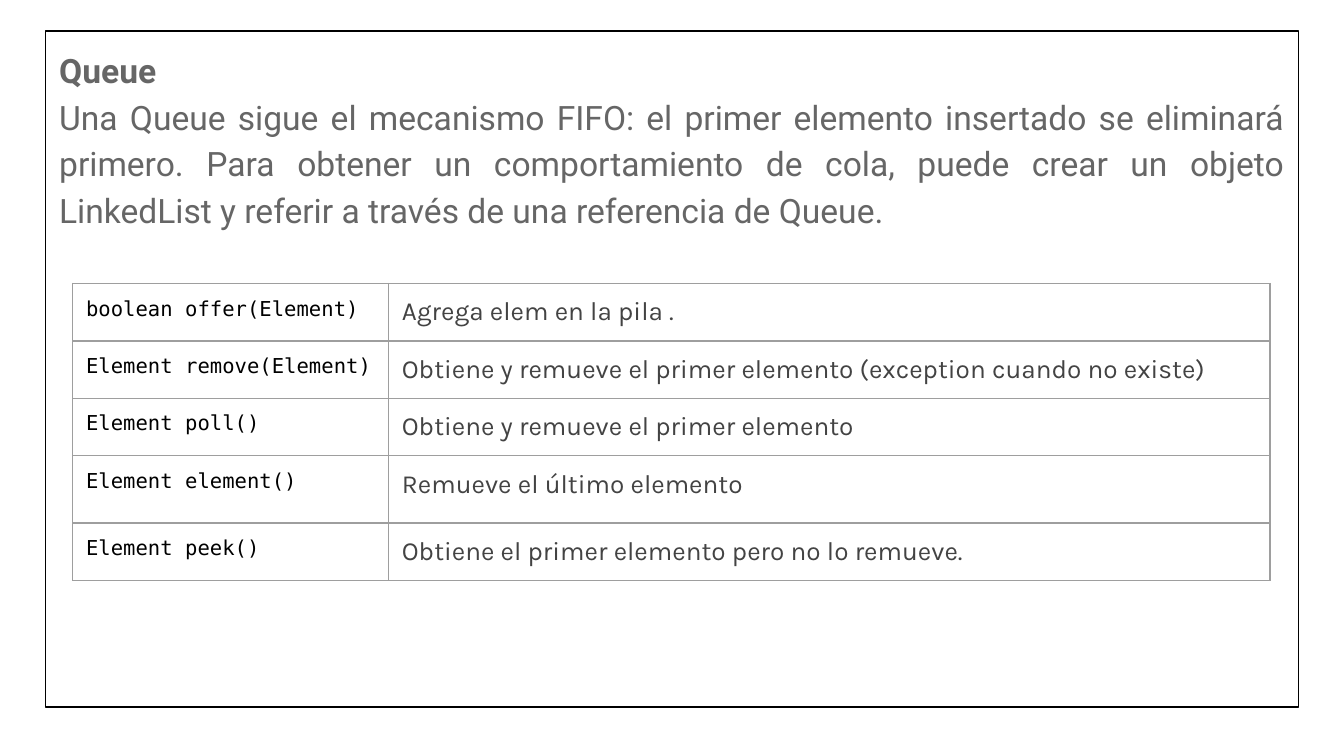
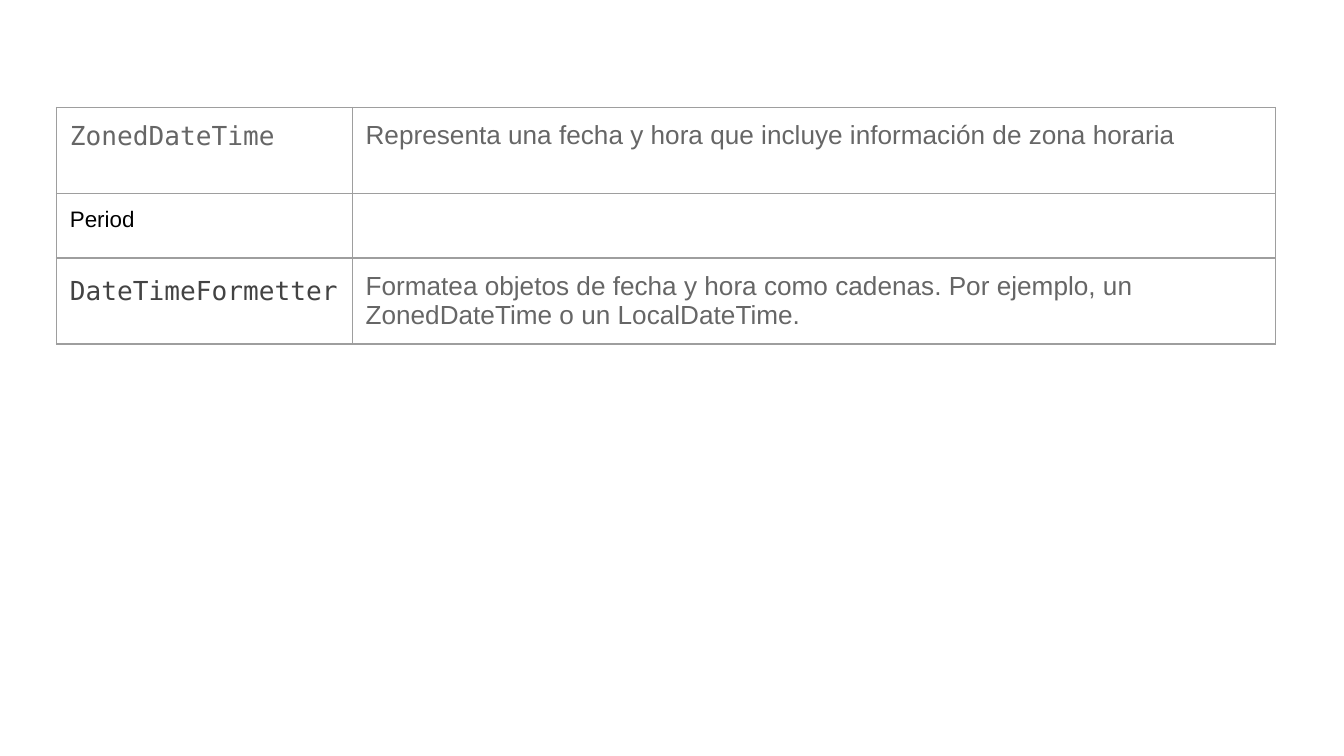
import pptx
import pptx.util
import pptx.dml.color
import pptx.enum.text
import pptx.oxml.ns
import lxml.etree

Inches = pptx.util.Inches
Pt = pptx.util.Pt
RGBColor = pptx.dml.color.RGBColor
qn = pptx.oxml.ns.qn
JUSTIFY = pptx.enum.text.PP_ALIGN.JUSTIFY

BLACK = RGBColor(0x00, 0x00, 0x00)
DARK_GREY = RGBColor(0x43, 0x43, 0x43)
GREY = RGBColor(0x66, 0x66, 0x66)
WHITE = RGBColor(0xFF, 0xFF, 0xFF)
BORDER_GREY = RGBColor(0x9E, 0x9E, 0x9E)

CODE_FONT = "DejaVu Sans Mono"
INSET = Inches(0.1)
RULE_WIDTH = Pt(0.75)
SLIDE_WIDTH = Inches(10)
SLIDE_HEIGHT = SLIDE_WIDTH * 9 // 16

QUEUE_HEADING = "Queue"
QUEUE_EXPLANATION = (
    "Una Queue sigue el mecanismo FIFO: el primer elemento insertado se eliminará primero. "
    "Para obtener un comportamiento de cola, puede crear un objeto LinkedList y referir "
    "a través de una referencia de Queue. "
)
QUEUE_METHODS = [
    ("boolean offer(Element)", "Agrega elem en la pila ."),
    ("Element remove(Element)", "Obtiene y remueve el primer elemento (exception cuando no existe)"),
    ("Element poll()", "Obtiene y remueve el primer elemento"),
    ("Element element()", "Remueve el último elemento"),
    ("Element peek()", "Obtiene el primer elemento pero no lo remueve."),
]
METHOD_FORMAT = dict(size=11, font=CODE_FONT, color=BLACK)
METHOD_NOTE_FORMAT = dict(size=14, font="Karla", color=DARK_GREY)

DATE_NOTE_FORMAT = dict(size=14, font="Arial", color=GREY)
DATE_CLASSES = [
    (
        ("ZonedDateTime", dict(size=14, font=CODE_FONT, color=GREY)),
        ("Representa una fecha y hora que incluye información de zona horaria", DATE_NOTE_FORMAT),
    ),
    (("Period", dict(size=12, font="Arial", color=BLACK)), None),
    (
        ("DateTimeFormetter", dict(size=14, font=CODE_FONT, color=DARK_GREY, line_spacing=1.15)),
        (
            "Formatea objetos de fecha y hora como cadenas. "
            "Por ejemplo, un ZonedDateTime o un LocalDateTime.",
            DATE_NOTE_FORMAT,
        ),
    ),
]


def write(paragraph, text, size, font, color, bold=False, align=None, line_spacing=None, after=0):
    run = paragraph.add_run()
    run.text = text
    run.font.size = Pt(size)
    run.font.name = font
    run.font.bold = bold
    run.font.color.rgb = color
    paragraph.alignment = align
    paragraph.line_spacing = line_spacing
    paragraph.space_before = Pt(0)
    paragraph.space_after = Pt(after)


def set_insets(owner):
    owner.margin_left = owner.margin_right = INSET
    owner.margin_top = owner.margin_bottom = INSET


def remove_bullet(paragraph):
    properties = paragraph._p.get_or_add_pPr()
    properties.set("marL", "0")
    properties.set("indent", "0")
    lxml.etree.SubElement(properties, qn("a:buNone"))


def add_borders(cell):
    properties = cell._tc.get_or_add_tcPr()
    for side in ("a:lnL", "a:lnR", "a:lnT", "a:lnB"):
        border = lxml.etree.SubElement(properties, qn(side), w=str(RULE_WIDTH))
        fill = lxml.etree.SubElement(border, qn("a:solidFill"))
        lxml.etree.SubElement(fill, qn("a:srgbClr"), val=str(BORDER_GREY))


def add_grid(slide, left, top, widths, heights, rows):
    frame = slide.shapes.add_table(
        len(rows), len(widths),
        Inches(left), Inches(top), Inches(sum(widths)), Inches(sum(heights)),
    )
    grid = frame.table
    grid.first_row = False
    grid.horz_banding = False
    for column, width in zip(grid.columns, widths):
        column.width = Inches(width)
    for grid_row, height, entries in zip(grid.rows, heights, rows):
        grid_row.height = Inches(height)
        for cell, entry in zip(grid_row.cells, entries):
            set_insets(cell)
            add_borders(cell)
            cell.fill.background()
            paragraph = cell.text_frame.paragraphs[0]
            if entry:
                text, style = entry
                write(paragraph, text, **style)
            else:
                lxml.etree.SubElement(paragraph._p, qn("a:endParaRPr"), sz="1400")


def add_queue_panel(slide):
    panel = slide.placeholders[1]
    panel.left, panel.top = Inches(0.34), Inches(0.23)
    panel.width, panel.height = Inches(9.32), Inches(5.03)
    panel.line.color.rgb = BLACK
    panel.line.width = RULE_WIDTH
    body = panel.text_frame
    body.word_wrap = True
    body.auto_size = pptx.enum.text.MSO_AUTO_SIZE.NONE
    body.vertical_anchor = pptx.enum.text.MSO_ANCHOR.TOP
    set_insets(body)
    shared = dict(size=18, font="Roboto", color=GREY, align=JUSTIFY, line_spacing=1.15)
    heading, explanation = body.paragraphs[0], body.add_paragraph()
    write(heading, QUEUE_HEADING, bold=True, **shared)
    write(explanation, QUEUE_EXPLANATION, after=16, **shared)
    for paragraph in (heading, explanation):
        remove_bullet(paragraph)


def main():
    deck = pptx.Presentation()
    deck.slide_width, deck.slide_height = SLIDE_WIDTH, SLIDE_HEIGHT
    background = deck.slide_master.background.fill
    background.solid()
    background.fore_color.rgb = WHITE

    queue_slide = deck.slides.add_slide(deck.slide_layouts[1])
    title = queue_slide.shapes.title
    title.element.getparent().remove(title.element)
    add_queue_panel(queue_slide)
    methods = [
        ((method, METHOD_FORMAT), (note, METHOD_NOTE_FORMAT)) for method, note in QUEUE_METHODS
    ]
    add_grid(queue_slide, 0.54, 2.11, [2.35, 6.56], [0.33, 0.33, 0.33, 0.5, 0.33], methods)

    date_slide = deck.slides.add_slide(deck.slide_layouts[6])
    add_grid(date_slide, 0.42, 0.8, [2.2, 6.87], [0.64, 0.48, 0.64], DATE_CLASSES)

    deck.save("out.pptx")


if __name__ == "__main__":
    main()
